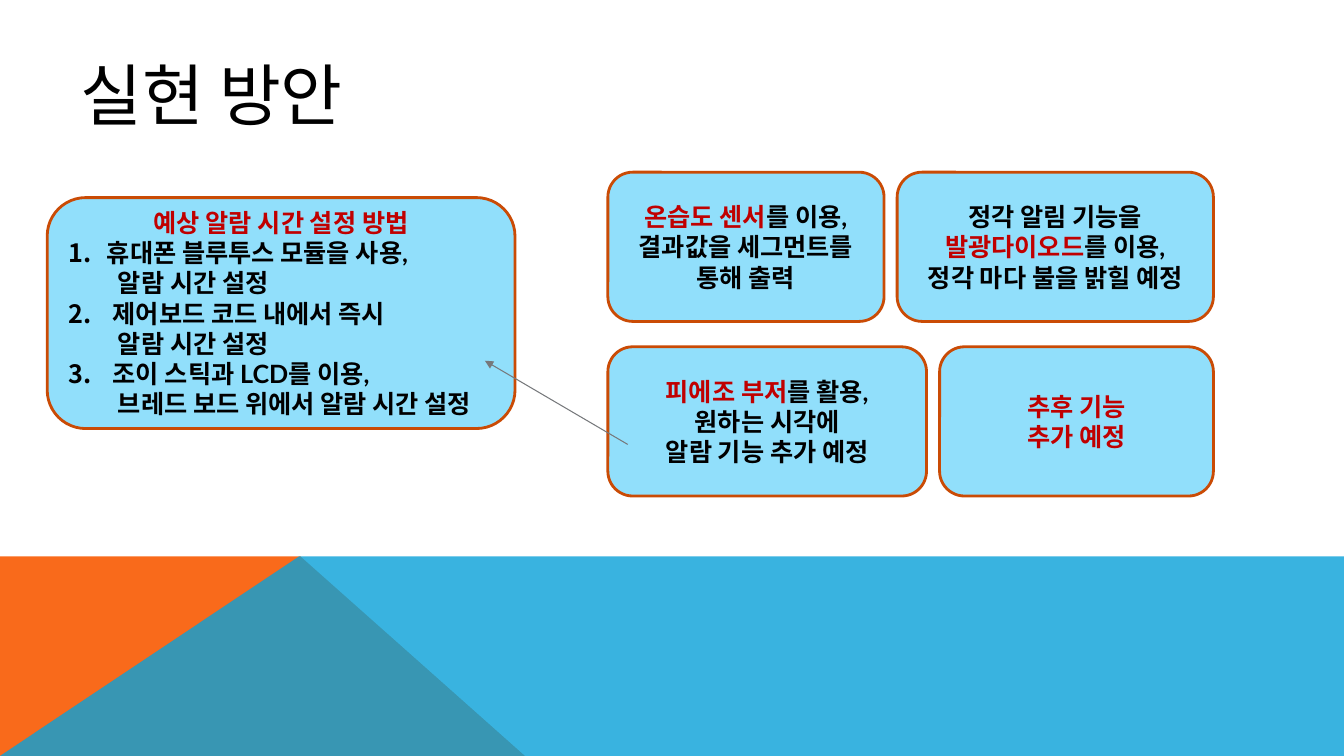
from pptx import Presentation
from pptx.dml.color import RGBColor
from pptx.enum.shapes import MSO_CONNECTOR as CONN, MSO_SHAPE as SHAPE
from pptx.enum.text import MSO_ANCHOR as ANCHOR, PP_ALIGN as ALIGN
from pptx.oxml.ns import qn
from pptx.util import Cm, Pt
from lxml.etree import SubElement

BLACK, RED = "000000", "C00000"


def rgb(hex_color):
    return RGBColor.from_string(hex_color)


def add_box(left, top, width, height, lines):
    """Rounded box; each line is a list of (text, color) runs."""
    s = shapes.add_shape(SHAPE.ROUNDED_RECTANGLE, Cm(left), Cm(top), Cm(width), Cm(height))
    s.shadow.inherit = False
    s.fill.solid()
    s.fill.fore_color.rgb = rgb("91DFFB")
    s.line.color.rgb = rgb("CA4B05")
    s.line.width = Pt(2)
    tf = s.text_frame
    tf.word_wrap = True
    tf.vertical_anchor = ANCHOR.MIDDLE
    for i, line in enumerate(lines):
        p = tf.paragraphs[0] if i == 0 else tf.add_paragraph()
        p.alignment = ALIGN.CENTER
        for text, color in line:
            r = p.add_run()
            r.text = text
            for name, value in {"name": "Lato", "size": Pt(18), "bold": True}.items():
                setattr(r.font, name, value)
            r.font.color.rgb = rgb(color)
    return tf


prs = Presentation()
prs.slide_width, prs.slide_height = Cm(33.87), Cm(19.05)
shapes = prs.slides.add_slide(prs.slide_layouts[6]).shapes

# Bottom band: orange wedge under a translucent blue area
band_top, bottom, right = 14.02, 19.05, 33.87
bands = [
    ("F96A1B", 100, [(0, bottom), (0, band_top), (7.57, band_top), (13.23, bottom)]),
    ("08A1D9", 80, [(0, bottom), (7.54, band_top), (right, band_top), (right, bottom)]),
]
for color, opacity, points in bands:
    start, *rest = [(Cm(x), Cm(y)) for x, y in points]
    builder = shapes.build_freeform(*start)
    builder.add_line_segments(rest, close=True)
    s = builder.convert_to_shape()
    s.shadow.inherit = False
    s.fill.solid()
    s.fill.fore_color.rgb = rgb(color)
    s.line.fill.background()
    if opacity < 100:
        srgb = s.element.spPr.find(qn("a:solidFill")).find(qn("a:srgbClr"))
        SubElement(srgb, qn("a:alpha"), val=str(opacity * 1000))

# Title
tf = shapes.add_textbox(Cm(1.78), Cm(0.71), Cm(27.86), Cm(3.28)).text_frame
tf.word_wrap = True
tf.vertical_anchor = ANCHOR.MIDDLE
r = tf.paragraphs[0].add_run()
r.text = "실현 방안"
r.font.name, r.font.size = "Lato", Pt(48)
r.font.color.rgb = rgb(BLACK)

# Two rows of feature boxes sharing outer edges and gap
grid_left, grid_width, gap, box_height = 15.32, 15.26, 0.33, 3.76
rows = [
    (4.34, 6.96,
     [[("온습도 센서", RED), ("를 이용,", BLACK)],
      [("결과값을 세그먼트를", BLACK)],
      [("통해 출력", BLACK)]],
     [[("정각 알림 기능을", BLACK)],
      [("발광다이오드", RED), ("를 이용,", BLACK)],
      [("정각 마다 불을 밝힐 예정", BLACK)]]),
    (8.74, 8.03,
     [[("피에조 부저", RED), ("를 활용,", BLACK)],
      [("원하는 시각에", BLACK)],
      [("알람 기능 추가 예정", BLACK)]],
     [[("추후 기능", RED)],
      [("추가 예정", RED)]]),
]
for top, first_width, first_lines, second_lines in rows:
    add_box(grid_left, top, first_width, box_height, first_lines)
    offset = first_width + gap
    add_box(grid_left + offset, top, grid_width - offset, box_height, second_lines)

# Alarm setting methods: number, indent in cm, two lines
methods = [
    (1, 0.97, "휴대폰 블루투스 모듈을 사용,", "알람 시간 설정"),
    (2, 1.12, "제어보드 코드 내에서 즉시", "알람 시간 설정"),
    (3, 1.12, "조이 스틱과 LCD를 이용,", "브레드 보드 위에서 알람 시간 설정"),
]
lines = [[("예상 알람 시간 설정 방법", RED)]]
lines += [[(text, BLACK)] for method in methods for text in method[2:]]
tf = add_box(1.19, 4.98, 11.79, 5.82, lines)
for number, indent, *_ in methods:
    numbered, continued = tf.paragraphs[2 * number - 1:2 * number + 1]
    numbered.alignment = continued.alignment = ALIGN.LEFT
    pPr = numbered._p.get_or_add_pPr()
    pPr.set("marL", str(Cm(indent)))
    pPr.set("indent", str(-Cm(indent)))
    SubElement(pPr, qn("a:buFont"), typeface="Lato")
    SubElement(pPr, qn("a:buAutoNum"), type="arabicPeriod", startAt=str(number))
    continued._p.get_or_add_pPr().set("marL", str(Cm(1.25)))

# Arrow from the buzzer box to the methods box
arrow = shapes.add_connector(CONN.STRAIGHT, Cm(15.82), Cm(11.2), Cm(12.22), Cm(9.09))
arrow.line.color.rgb = rgb("76787B")
arrow.line.width = Pt(0.75)
spPr = arrow.element.spPr
SubElement(spPr.find(qn("a:ln")), qn("a:tailEnd"), type="triangle")
SubElement(spPr, qn("a:effectLst"))

prs.save("out.pptx")
